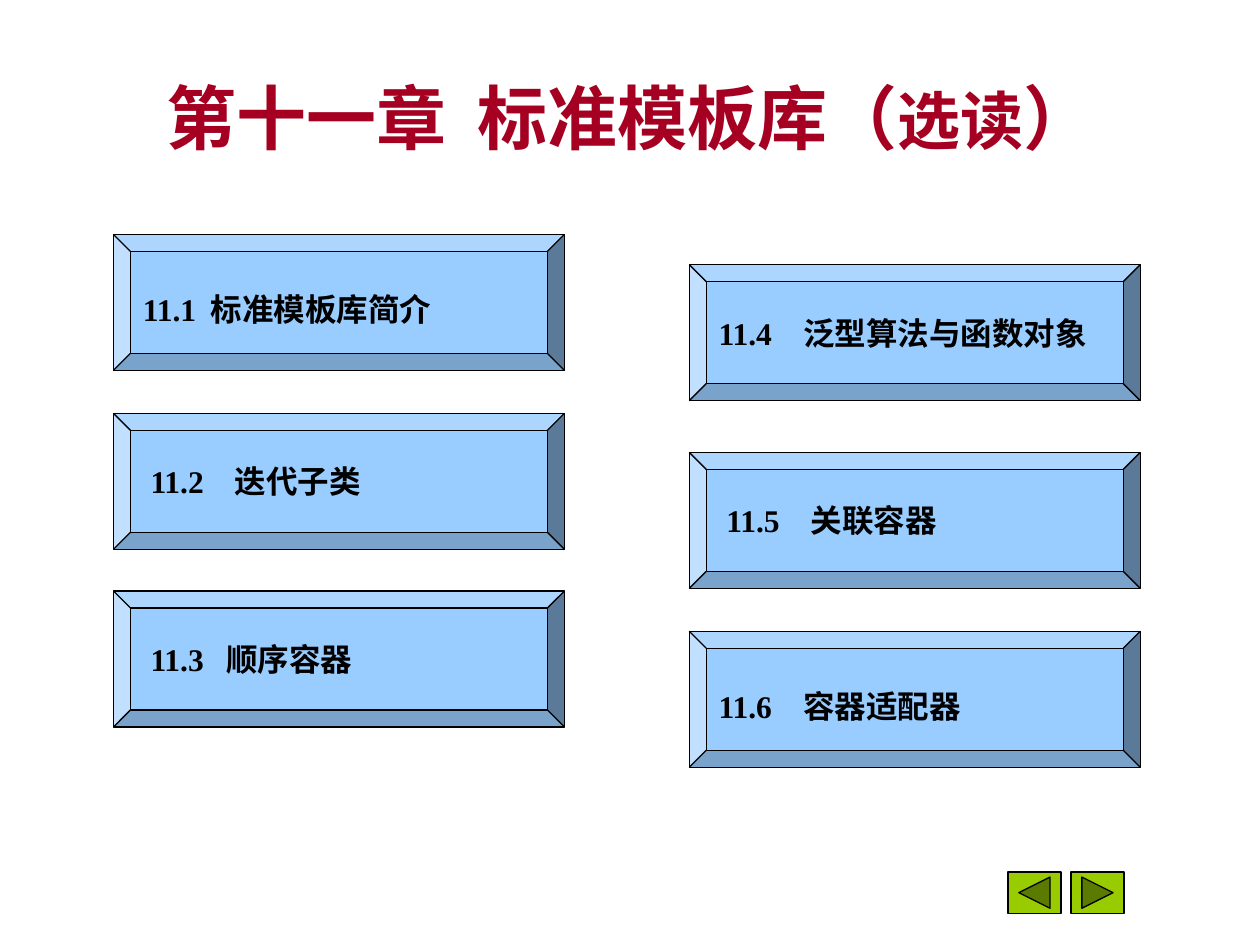
from dataclasses import dataclass

from lxml import etree
from pptx import Presentation
from pptx.dml.color import RGBColor
from pptx.enum.shapes import MSO_SHAPE
from pptx.enum.text import MSO_ANCHOR, MSO_AUTO_SIZE, PP_ALIGN
from pptx.oxml.ns import qn
from pptx.util import Inches, Pt

BEVEL = MSO_SHAPE.BEVEL
PREVIOUS = MSO_SHAPE.ACTION_BUTTON_BACK_OR_PREVIOUS
NEXT = MSO_SHAPE.ACTION_BUTTON_FORWARD_OR_NEXT
MIDDLE = MSO_ANCHOR.MIDDLE
LEFT, CENTER = PP_ALIGN.LEFT, PP_ALIGN.CENTER


@dataclass(frozen=True)
class Theme:
    title_color: str = "A50021"
    panel_fill: str = "99CCFF"
    button_fill: str = "99CC00"
    ink: str = "000000"
    title_size: int = 40
    note_size: int = 36
    panel_size: int = 18
    latin_font: str = "Times New Roman"
    chinese_font: str = "Noto Sans CJK SC"


theme = Theme()


def add_text(para, text, *, size, color, latin, spacing=0):
    """Add a bold span; spacing is extra letter spacing in points."""
    span = para.add_run()
    span.text = text
    span.font.size = Pt(size)
    span.font.bold = True
    span.font.color.rgb = RGBColor.from_string(color)
    span.font.name = latin
    properties = span.font._element
    etree.SubElement(properties, qn("a:ea"), typeface=theme.chinese_font)
    if spacing:
        properties.set("spc", str(spacing * 100))


def add_block(page, kind, left, top, width, height, fill):
    """Add a filled, thinly outlined shape, placed in inches."""
    block = page.shapes.add_shape(kind, Inches(left), Inches(top),
                                  Inches(width), Inches(height))
    block.shadow.inherit = False
    block.fill.solid()
    block.fill.fore_color.rgb = RGBColor.from_string(fill)
    block.line.color.rgb = RGBColor.from_string(theme.ink)
    block.line.width = Pt(0.75)
    return block


deck = Presentation()
deck.slide_width, deck.slide_height = Inches(10), Inches(7.5)
page = deck.slides.add_slide(deck.slide_layouts[5])

# Chapter title
title = page.shapes.title
title.left, title.top = Inches(0.5), Inches(0.3)
title.width, title.height = Inches(9), Inches(1.25)
title.text_frame.auto_size = MSO_AUTO_SIZE.NONE
title.text_frame.vertical_anchor = MIDDLE
para = title.text_frame.paragraphs[0]
para.alignment = CENTER
for text, size, spacing in [
    ("第十一章", theme.title_size, 0),
    (" ", theme.title_size, 9),
    ("标准模板库（", theme.title_size, 0),
    ("选读", theme.note_size, 0),
    ("）", theme.title_size, 0),
]:
    add_text(para, text, size=size, color=theme.title_color,
             latin=theme.chinese_font, spacing=spacing)

# Section panels: left, top, number, name, text inset, name offset, text drop
sections = [
    (0.9, 1.86, "11.1", "标准模板库简介", 0.1, 0.54, 0.1),
    (0.9, 3.28, "11.2", "迭代子类", 0.16, 0.67, 0),
    (0.9, 4.69, "11.3", "顺序容器", 0.16, 0.6, 0),
    (5.47, 2.1, "11.4", "泛型算法与函数对象", 0.1, 0.67, 0),
    (5.47, 3.59, "11.5", "关联容器", 0.16, 0.67, 0),
    (5.47, 5.01, "11.6", "容器适配器", 0.1, 0.67, 0.1),
]
for left, top, number, name, inset, offset, drop in sections:
    panel = add_block(page, BEVEL, left, top, 3.58, 1.08, theme.panel_fill)
    panel.adjustments[0] = 0.125
    frame = panel.text_frame
    frame.word_wrap = True
    frame.vertical_anchor = MIDDLE
    frame.margin_left = Inches(inset)
    frame.margin_top = Inches(0.05 + drop)
    para = frame.paragraphs[0]
    para.alignment = LEFT
    tabs = etree.SubElement(para._p.get_or_add_pPr(), qn("a:tabLst"))
    etree.SubElement(tabs, qn("a:tab"), pos=str(Inches(offset)), algn="l")
    add_text(para, f"{number}\t{name}", size=theme.panel_size,
             color=theme.ink, latin=theme.latin_font)

# Navigation buttons
for left, kind in [(8, PREVIOUS), (8.5, NEXT)]:
    add_block(page, kind, left, 6.92, 0.42, 0.33, theme.button_fill)

deck.save("out.pptx")
